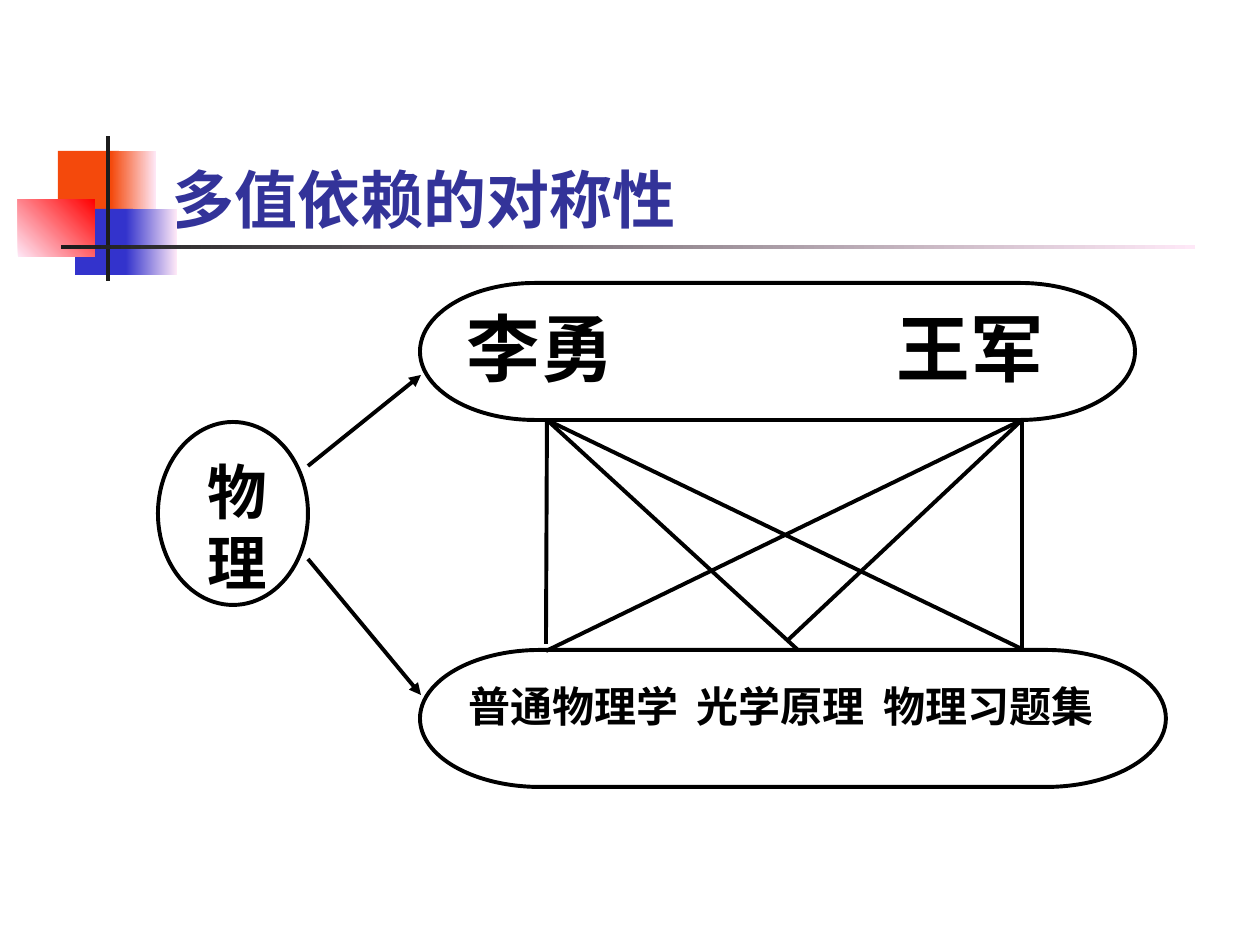
from dataclasses import dataclass

import pptx
import pptx.dml.color
import pptx.enum.dml
import pptx.enum.shapes
import pptx.enum.text
import pptx.oxml.ns
import pptx.util
from lxml import etree

SCALE = 914400 / 126  # EMU in one px
SHAPE = pptx.enum.shapes.MSO_SHAPE
ANCHOR = pptx.enum.text.MSO_ANCHOR
ALIGN = pptx.enum.text.PP_ALIGN
qn = pptx.oxml.ns.qn


@dataclass(frozen=True)
class Theme:
    title: str = "333399"
    ink: str = "000000"
    paper: str = "FFFFFF"
    orange: str = "F4490C"
    blue: str = "3333CC"
    red: str = "FF0000"
    bar: str = "1C1C1C"
    fade: str = "FEE8F7"
    title_font: str = "Lato"
    body_font: str = "Times New Roman"
    title_size: int = 36
    name_size: int = 42
    course_size: int = 34
    book_size: int = 24
    line: float = 2.25


T = Theme()


def px(n):
    return pptx.util.Emu(round(n * SCALE))


def rgb(value):
    return pptx.dml.color.RGBColor.from_string(value)


def write(sp, text, size, color=T.ink, font=T.body_font, anchor=ANCHOR.TOP,
          top=6, indent=0, tabs=()):
    """Fill a shape with bold text, one paragraph a line; tabs are px stops."""
    tf = sp.text_frame
    tf.word_wrap = True
    tf.auto_size = pptx.enum.text.MSO_AUTO_SIZE.NONE
    tf.vertical_anchor = anchor
    tf.margin_left = tf.margin_right = px(13)
    tf.margin_top, tf.margin_bottom = px(top), px(6)
    for i, line in enumerate(text.split("\n")):
        p = tf.paragraphs[0] if i == 0 else tf.add_paragraph()
        p.alignment = ALIGN.LEFT
        pPr = p._p.get_or_add_pPr()
        if indent:
            pPr.set("marL", str(px(indent)))
            pPr.set("indent", "0")
        if tabs:
            stops = etree.SubElement(pPr, qn("a:tabLst"))
            for stop in tabs:
                etree.SubElement(stops, qn("a:tab"), pos=str(px(stop)), algn="l")
        r = p.add_run()
        r.text = line
        r.font.name, r.font.size, r.font.bold = font, pptx.util.Pt(size), True
        r.font.color.rgb = rgb(color)


def add_block(slide, box, start, end=None, angle=0):
    """Borderless rectangle, plain or fading from start to end."""
    sp = slide.shapes.add_shape(SHAPE.RECTANGLE, *map(px, box))
    sp.shadow.inherit = False
    sp.line.fill.background()
    if end is None:
        sp.fill.solid()
        sp.fill.fore_color.rgb = rgb(start)
    else:
        sp.fill.gradient()
        sp.fill.gradient_angle = angle
        for stop, color in zip(sp.fill.gradient_stops, (start, end)):
            stop.color.rgb = rgb(color)


def add_node(slide, kind, box, text, size, **style):
    sp = slide.shapes.add_shape(kind, *map(px, box))
    sp.shadow.inherit = False
    sp.fill.solid()
    sp.fill.fore_color.rgb = rgb(T.paper)
    sp.line.color.rgb = rgb(T.ink)
    sp.line.width = pptx.util.Pt(T.line)
    write(sp, text, size, **style)


def add_line(slide, start, end, arrow=False):
    line = slide.shapes.add_connector(
        pptx.enum.shapes.MSO_CONNECTOR.STRAIGHT, *map(px, (*start, *end)))
    line.line.color.rgb = rgb(T.ink)
    line.line.width = pptx.util.Pt(T.line)
    if arrow:
        etree.SubElement(line.line._get_or_add_ln(), qn("a:tailEnd"), type="triangle")
    etree.SubElement(line._element.spPr, qn("a:effectLst"))


def add_ornament(slide, left, top):
    blocks = [
        ((40, 15, 61, 66), T.orange),
        ((93, 15, 45, 66), T.orange, T.fade),
        ((57, 73, 58, 66), T.blue),
        ((108, 73, 51, 66), T.blue, T.fade),
        ((0, 63, 77, 58), T.fade, T.red, 45),
        ((88, 0, 4, 145), T.bar),
        ((43, 109, 1134, 4), T.bar, T.fade),
    ]
    for (x, y, w, h), *colors in blocks:
        add_block(slide, (left + x, top + y, w, h), *colors)


def add_title(slide, box, text):
    title = slide.shapes.title
    title.left, title.top, title.width, title.height = map(px, box)
    write(title, text, T.title_size, color=T.title, font=T.title_font,
          anchor=ANCHOR.BOTTOM)


def add_dependency_diagram(slide, left, top):
    """One course on the left, linked to its teachers and its books."""
    def at(x, y):
        return left + x, top + y

    add_node(slide, SHAPE.OVAL, (*at(0, 139), 150, 183), "物\n理",
             T.course_size, indent=15)
    add_node(slide, SHAPE.FLOWCHART_TERMINATOR, (*at(262, 367), 746, 137),
             "普通物理学\t光学原理\t物理习题集", T.book_size, top=10, tabs=(228, 415))
    add_node(slide, SHAPE.FLOWCHART_TERMINATOR, (*at(262, 0), 715, 137),
             "李勇\t王军", T.name_size, top=0, tabs=(430,))

    add_line(slide, at(150, 183), at(263, 92), arrow=True)
    add_line(slide, at(150, 276), at(263, 412), arrow=True)

    links = {
        (389, 137): [(388, 361), (640, 367), (864, 366)],
        (864, 137): [(864, 366), (630, 357), (388, 368)],
    }
    for teacher, books in links.items():
        for book in books:
            add_line(slide, at(*teacher), at(*book))


def main():
    prs = pptx.Presentation()
    prs.slide_width, prs.slide_height = px(1260), px(945)
    slide = prs.slides.add_slide(prs.slide_layouts[5])
    add_ornament(slide, 18, 136)
    add_title(slide, (159, 84, 1074, 158), "多值依赖的对称性")
    add_dependency_diagram(slide, 158, 283)
    prs.save("out.pptx")


if __name__ == "__main__":
    main()
